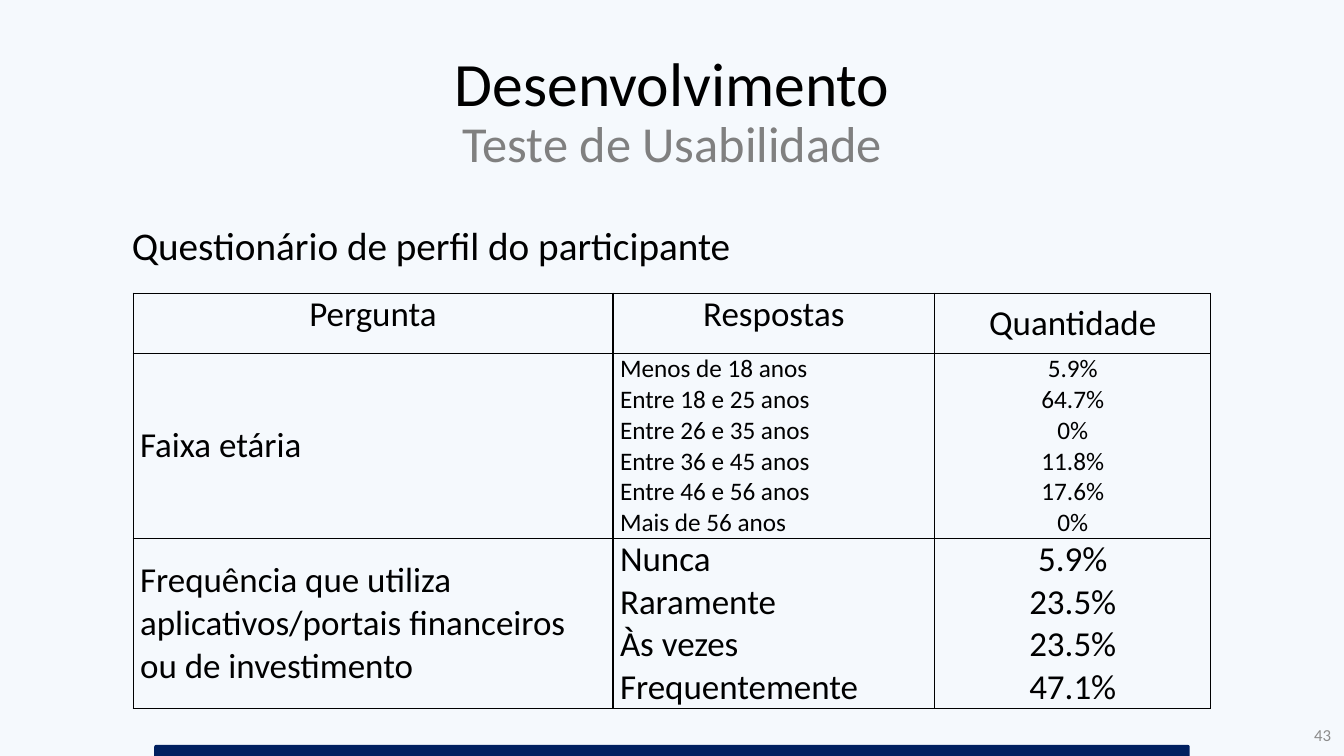
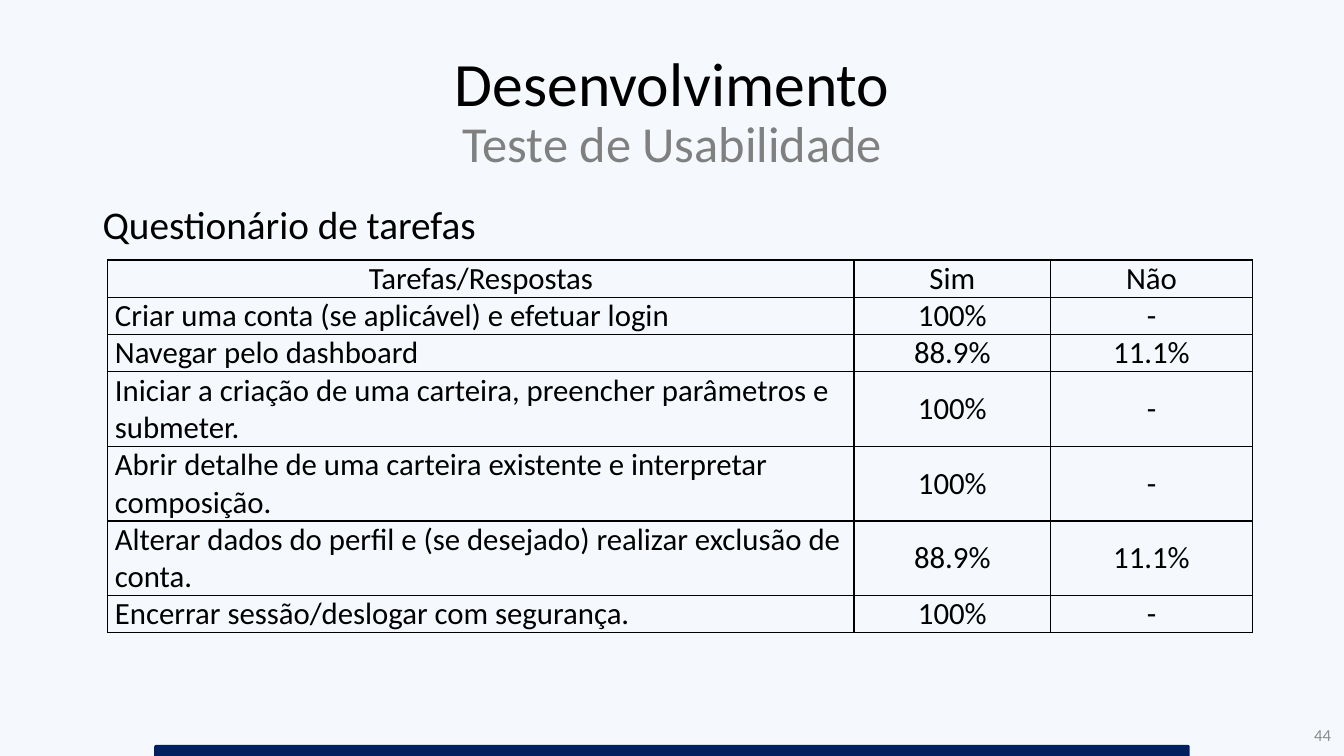
from lxml.etree import SubElement
from pptx import Presentation
from pptx.dml.color import RGBColor
from pptx.enum.shapes import MSO_SHAPE
from pptx.enum.text import MSO_ANCHOR, PP_ALIGN
from pptx.oxml.ns import qn
from pptx.util import Inches, Pt

COLORS = {
    "background": "F5F9FD",
    "text": "000000",
    "subtitle": "808080",
    "band": "002060",
    "number": "8C8C8C",
}
FONT = "Calibri"


class Deck:
    def __init__(self):
        self.presentation = Presentation()
        self.presentation.slide_width = Inches(13.33)
        self.presentation.slide_height = Inches(7.5)
        self.page = None

    def color(self, name):
        return RGBColor.from_string(COLORS[name])

    def style(self, para, size, color="text", align=PP_ALIGN.LEFT):
        para.alignment = align
        for span in para.runs:
            span.font.name = FONT
            span.font.size = Pt(size)
            span.font.color.rgb = self.color(color)

    def add_page(self, number):
        self.page = self.presentation.slides.add_slide(self.presentation.slide_layouts[6])
        fill = self.page.background.fill
        fill.solid()
        fill.fore_color.rgb = self.color("background")
        self.add_title("Desenvolvimento", "Teste de Usabilidade")
        self.add_band()
        self.add_text(str(number), 10.3, 7.1, 3, 0.4, 12, "number", PP_ALIGN.RIGHT, MSO_ANCHOR.MIDDLE)

    def add_text(self, text, left, top, width, height, size, color="text",
                 align=PP_ALIGN.LEFT, anchor=MSO_ANCHOR.TOP):
        box = self.page.shapes.add_textbox(Inches(left), Inches(top), Inches(width), Inches(height))
        frame = box.text_frame
        frame.word_wrap = True
        frame.vertical_anchor = anchor
        frame.text = text
        para = frame.paragraphs[0]
        para.line_spacing = 0.9
        self.style(para, size, color, align)
        return para

    def add_title(self, title, subtitle):
        para = self.add_text(f"{title}\v{subtitle}", 0.92, 0.4, 11.5, 1.45, 44,
                             align=PP_ALIGN.CENTER, anchor=MSO_ANCHOR.MIDDLE)
        span = para.runs[1]
        span.font.size = Pt(36)
        span.font.color.rgb = self.color("subtitle")

    def add_heading(self, text, left, top):
        self.add_text(text, left, top, 11.67, 0.6, 28)

    def add_band(self):
        band = self.page.shapes.add_shape(
            MSO_SHAPE.ROUND_2_SAME_RECTANGLE, Inches(1.53), Inches(7.39), Inches(10.27), Inches(0.11))
        band.shadow.inherit = False
        band.fill.solid()
        band.fill.fore_color.rgb = self.color("band")
        band.line.fill.background()

    def add_borders(self, cell):
        properties = cell._tc.get_or_add_tcPr()
        for side in ("a:lnL", "a:lnR", "a:lnT", "a:lnB"):
            line = SubElement(properties, qn(side), w=str(Pt(1)))
            fill = SubElement(line, qn("a:solidFill"))
            SubElement(fill, qn("a:srgbClr"), val=COLORS["text"])

    def add_table(self, left, top, widths, heights, rows, size, sizes=None):
        table = self.page.shapes.add_table(
            len(rows), len(widths), Inches(left), Inches(top),
            Inches(sum(widths)), Inches(sum(heights))).table
        table.first_row = False
        table.horz_banding = False
        for column, width in zip(table.columns, widths):
            column.width = Inches(width)
        for row, height in zip(table.rows, heights):
            row.height = Inches(height)
        for y, row in enumerate(rows):
            for x, text in enumerate(row):
                cell = table.cell(y, x)
                cell.margin_left = cell.margin_right = Inches(0.07)
                cell.margin_top = cell.margin_bottom = 0
                top_aligned = y == 0 and x < 2
                cell.vertical_anchor = MSO_ANCHOR.TOP if top_aligned else MSO_ANCHOR.MIDDLE
                self.add_borders(cell)
                cell.fill.background()
                cell.text_frame.text = text
                align = PP_ALIGN.CENTER if y == 0 or x == len(widths) - 1 or len(text) < 6 and x else PP_ALIGN.LEFT
                for para in cell.text_frame.paragraphs:
                    self.style(para, (sizes or {}).get((y, x), size), align=align)


def main():
    deck = Deck()

    deck.add_page(43)
    deck.add_heading("Questionário de perfil do participante", 1.21, 2.2)
    age_answers = [
        ("Menos de 18 anos", "5.9%"),
        ("Entre 18 e 25 anos", "64.7%"),
        ("Entre 26 e 35 anos", "0%"),
        ("Entre 36 e 45 anos", "11.8%"),
        ("Entre 46 e 56 anos", "17.6%"),
        ("Mais de 56 anos", "0%"),
    ]
    frequency_answers = [
        ("Nunca", "5.9%"),
        ("Raramente", "23.5%"),
        ("Às vezes", "23.5%"),
        ("Frequentemente", "47.1%"),
    ]
    questions = [
        ("Faixa etária", age_answers),
        ("Frequência que utiliza aplicativos/portais financeiros ou de investimento", frequency_answers),
    ]
    profile_rows = [("Pergunta", "Respostas", "Quantidade")]
    for question, answers in questions:
        profile_rows.append((question, *("\n".join(column) for column in zip(*answers))))
    deck.add_table(1.32, 2.91, [4.76, 3.19, 2.74], [0.6, 1.83, 1.69], profile_rows, 25,
                   {(1, 1): 18, (1, 2): 18})

    deck.add_page(44)
    deck.add_heading("Questionário de tarefas", 0.92, 1.99)
    task_rows = [
        ("Tarefas/Respostas", "Sim", "Não"),
        ("Criar uma conta (se aplicável) e efetuar login", "100%", "-"),
        ("Navegar pelo dashboard", "88.9%", "11.1%"),
        ("Iniciar a criação de uma carteira, preencher parâmetros e submeter.", "100%", "-"),
        ("Abrir detalhe de uma carteira existente e interpretar composição.", "100%", "-"),
        ("Alterar dados do perfil e (se desejado) realizar exclusão de conta.", "88.9%", "11.1%"),
        ("Encerrar sessão/deslogar com segurança.", "100%", "-"),
    ]
    task_heights = [0.74 if len(row[0]) > 60 else 0.37 for row in task_rows]
    deck.add_table(1.07, 2.58, [7.4, 1.95, 2], task_heights, task_rows, 22)

    deck.presentation.save("out.pptx")


if __name__ == "__main__":
    main()
